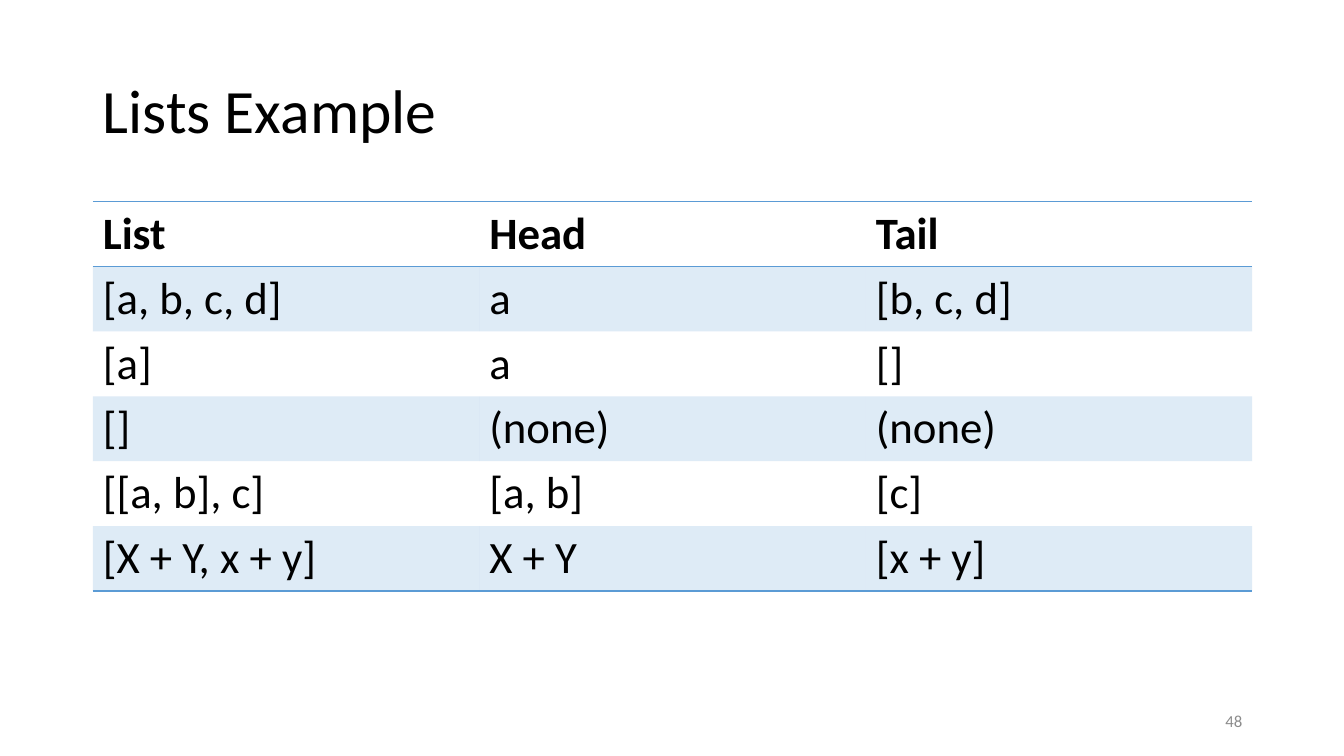
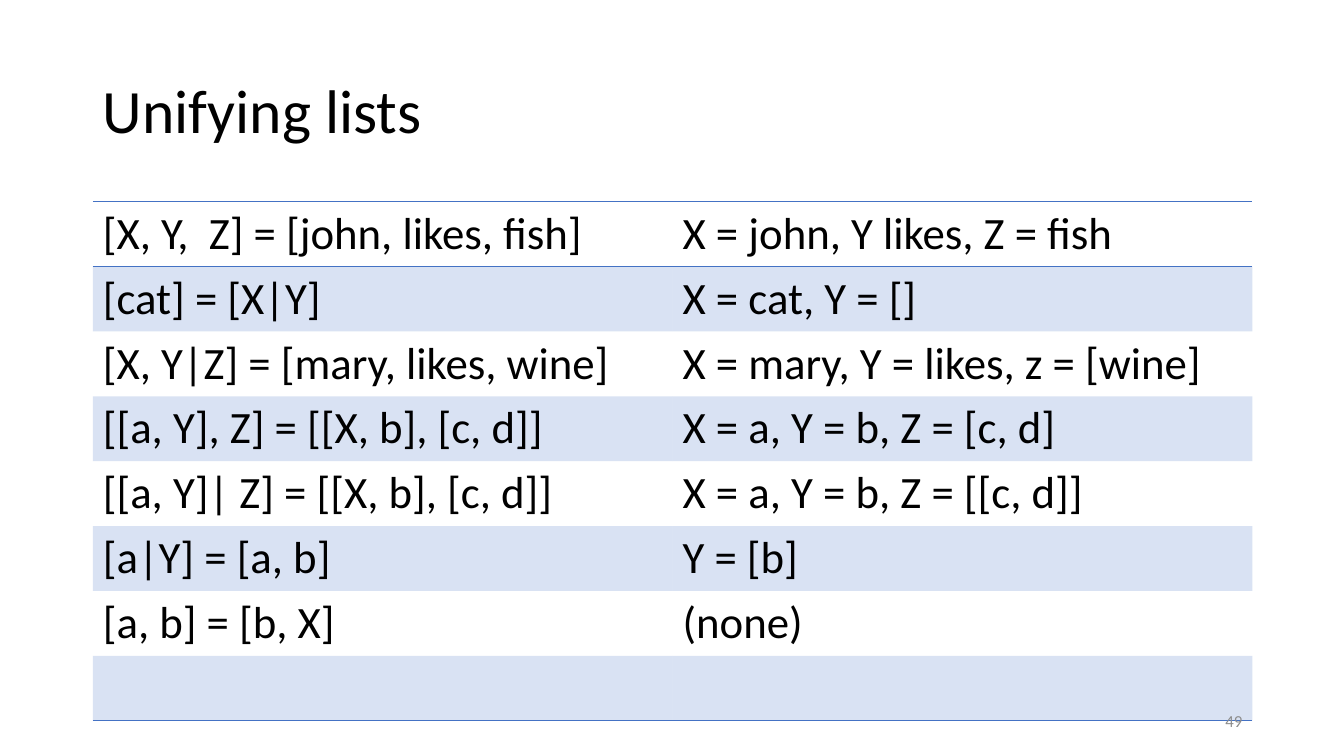
from dataclasses import dataclass

from lxml import etree
from pptx import Presentation
from pptx.dml.color import RGBColor
from pptx.enum.text import MSO_ANCHOR, MSO_AUTO_SIZE, PP_ALIGN
from pptx.oxml.ns import qn
from pptx.util import Inches, Pt

MIDDLE = MSO_ANCHOR.MIDDLE
NO_FIT = MSO_AUTO_SIZE.NONE
LEFT, RIGHT = PP_ALIGN.LEFT, PP_ALIGN.RIGHT
TITLE_ONLY = 5
PLAIN_TABLE_STYLE = "{2D5ABB26-0587-4C30-8999-92F81FD0307C}"


@dataclass(frozen=True)
class Theme:
    font: str = "Calibri"
    text: str = "000000"
    muted: str = "8C8C8C"
    light_blue: str = "5B9BD5"
    blue: str = "4472C4"
    band_opacity: int = 20
    title_size: int = 44
    table_size: int = 32
    number_size: int = 12
    rule_width: int = 1
    margin: float = 0.92
    content_width: float = 11.5
    row_height: float = 0.64


THEME = Theme()

LIST_PARTS = [
    ("List", "Head", "Tail"),
    ("[a, b, c, d]", "a", "[b, c, d]"),
    ("[a]", "a", "[]"),
    ("[]", "(none)", "(none)"),
    ("[[a, b], c]", "[a, b]", "[c]"),
    ("[X + Y, x + y]", "X + Y", "[x + y]"),
]

UNIFICATIONS = [
    ("[X, Y,  Z] = [john, likes, fish]", "X = john, Y likes, Z = fish"),
    ("[cat] = [X|Y]", "X = cat, Y = []"),
    ("[X, Y|Z] = [mary, likes, wine]", "X = mary, Y = likes, z = [wine]"),
    ("[[a, Y], Z] = [[X, b], [c, d]]", "X = a, Y = b, Z = [c, d]"),
    ("[[a, Y]| Z] = [[X, b], [c, d]]", "X = a, Y = b, Z = [[c, d]]"),
    ("[a|Y] = [a, b]", "Y = [b]"),
    ("[a, b] = [b, X]", "(none)"),
    ("", ""),
]


def style_paragraph(paragraph, size, color=THEME.text, align=LEFT, bold=False):
    paragraph.alignment = align
    font = paragraph.font
    font.name = THEME.font
    font.size = Pt(size)
    font.bold = bold
    font.color.rgb = RGBColor.from_string(color)


def add_title(slide, text):
    title = slide.shapes.title
    title.left, title.top = Inches(THEME.margin), Inches(0.4)
    title.width, title.height = Inches(THEME.content_width), Inches(1.45)
    frame = title.text_frame
    frame.text = text
    frame.vertical_anchor = MIDDLE
    frame.auto_size = NO_FIT
    frame.paragraphs[0].line_spacing = 0.9
    style_paragraph(frame.paragraphs[0], THEME.title_size)


def add_slide_number(slide, number):
    width = 3
    left = THEME.margin + THEME.content_width - width
    box = slide.shapes.add_textbox(
        Inches(left), Inches(6.95), Inches(width), Inches(0.4))
    frame = box.text_frame
    frame.word_wrap = True
    frame.vertical_anchor = MIDDLE
    frame.text = str(number)
    style_paragraph(frame.paragraphs[0], THEME.number_size, THEME.muted, RIGHT)


def add_cell_rule(cell, side, color):
    """Draw a line on one side of a cell: lnT above, lnB below."""
    properties = cell._tc.get_or_add_tcPr()
    rule = etree.SubElement(
        properties, qn(f"a:{side}"), w=str(Pt(THEME.rule_width)))
    fill = etree.SubElement(rule, qn("a:solidFill"))
    etree.SubElement(fill, qn("a:srgbClr"), val=color)


def fill_band(cell, color):
    cell.fill.solid()
    cell.fill.fore_color.rgb = RGBColor.from_string(color)
    tint = cell._tc.tcPr.find(f"{qn('a:solidFill')}/{qn('a:srgbClr')}")
    etree.SubElement(tint, qn("a:alpha"), val=str(THEME.band_opacity * 1000))


def add_banded_table(slide, rows, accent, bold_header):
    row_count, column_count = len(rows), len(rows[0])
    table = slide.shapes.add_table(
        row_count, column_count, Inches(THEME.margin), Inches(2),
        Inches(THEME.content_width),
        Inches(THEME.row_height * row_count)).table
    table._tbl.tblPr.find(qn("a:tableStyleId")).text = PLAIN_TABLE_STYLE
    table.first_row = bold_header

    for row_index, values in enumerate(rows):
        is_first = row_index == 0
        for column_index, value in enumerate(values):
            cell = table.cell(row_index, column_index)
            cell.text = value
            style_paragraph(cell.text_frame.paragraphs[0], THEME.table_size,
                            bold=is_first and bold_header)
            if is_first:
                add_cell_rule(cell, "lnT", accent)
            if is_first or row_index == row_count - 1:
                add_cell_rule(cell, "lnB", accent)
            if row_index % 2:
                fill_band(cell, accent)
            else:
                cell.fill.background()


def add_table_slide(prs, number, title, rows, accent, bold_header=False):
    slide = prs.slides.add_slide(prs.slide_layouts[TITLE_ONLY])
    add_title(slide, title)
    add_banded_table(slide, rows, accent, bold_header)
    add_slide_number(slide, number)


def main():
    prs = Presentation()
    prs.slide_width, prs.slide_height = Inches(13.33), Inches(7.5)
    add_table_slide(prs, 48, "Lists Example", LIST_PARTS, THEME.light_blue,
                    bold_header=True)
    add_table_slide(prs, 49, "Unifying lists", UNIFICATIONS, THEME.blue)
    prs.save("out.pptx")


if __name__ == "__main__":
    main()
